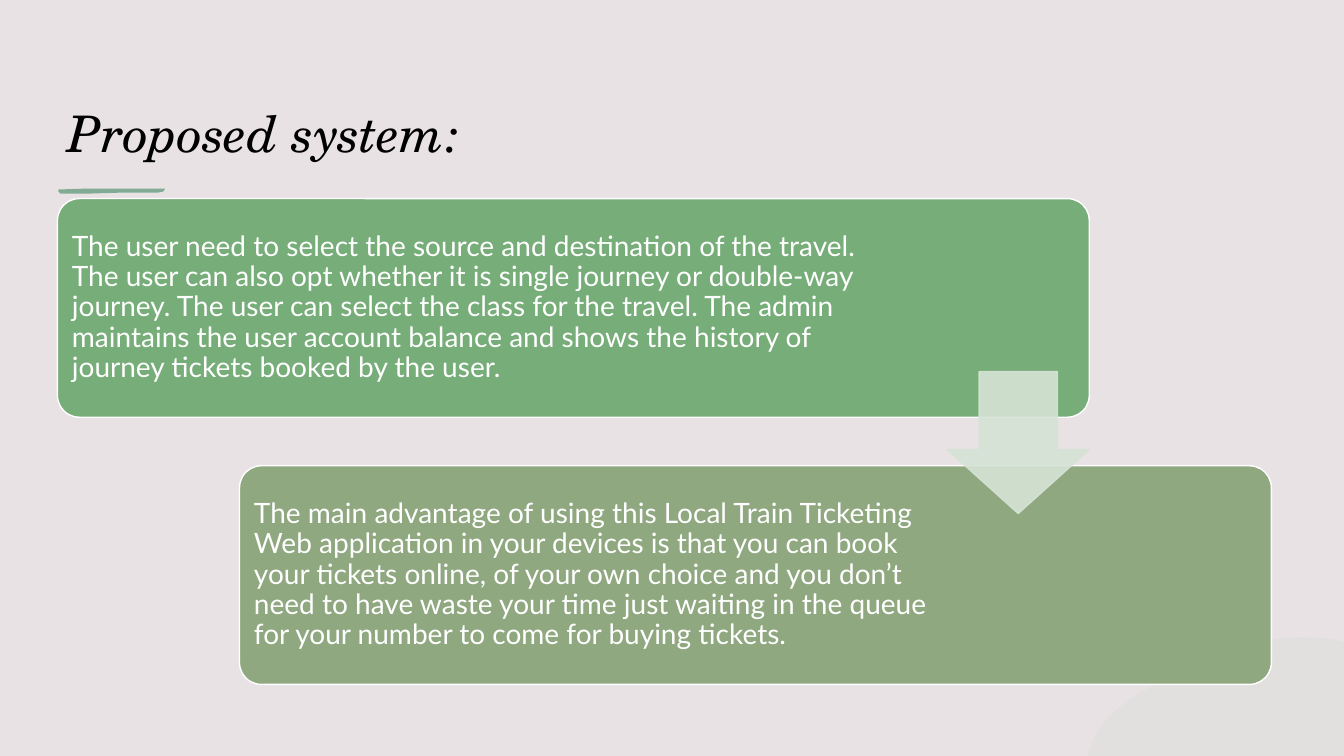
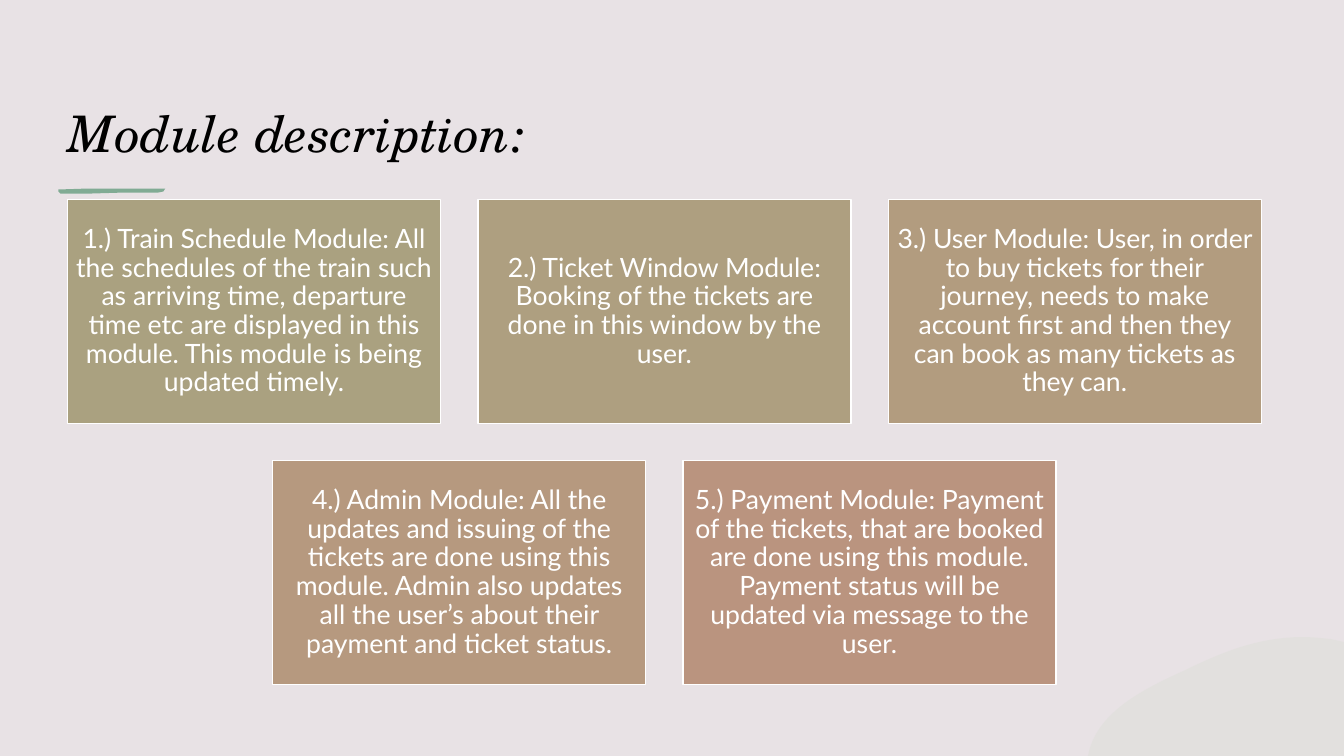
from dataclasses import dataclass

import pptx
import pptx.dml.color
import pptx.enum.shapes
import pptx.enum.text
import pptx.oxml
import pptx.oxml.ns
import pptx.util

Inches = pptx.util.Inches
Pt = pptx.util.Pt
SHAPE = pptx.enum.shapes.MSO_SHAPE
ALIGN = pptx.enum.text.PP_ALIGN
ANCHOR = pptx.enum.text.MSO_ANCHOR


@dataclass(frozen=True)
class Theme:
    background: str = "E8E2E5"
    title: str = "000000"
    accent: str = "81AB94"
    hill: str = "D2DCCC"
    hill_opacity: int = 25
    card_text: str = "FFFFFF"
    card_line: str = "FFFFFF"
    step_fills: tuple = ("76AD78", "8FA880")
    arrow: str = "D6E3D6"
    arrow_opacity: int = 90
    module_fills: tuple = ("AAA180", "AE9F80", "B29C7F", "B6997F", "BA947F")
    title_font: str = "TeX Gyre Schola"
    body_font: str = "Lato"
    title_size: int = 36
    step_size: int = 20
    module_size: int = 19
    inset: float = 0.08


THEME = Theme()

STEPS = (
    "The user need to select the source and destination of the travel. "
    "The user can also opt whether it is single journey or double-way journey. "
    "The user can select the class for the travel. The admin maintains the user "
    "account balance and shows the history of journey tickets booked by the user.",
    "The main advantage of using this Local Train Ticketing Web application in "
    "your devices is that you can book your tickets online, of your own choice "
    "and you don’t need to have waste your time just waiting in the queue for "
    "your number to come for buying tickets.",
)
MODULES = (
    "1.) Train Schedule Module: All the schedules of the train such as arriving "
    "time, departure time etc are displayed in this module. This module is being "
    "updated timely.",
    "2.) Ticket Window Module: Booking of the tickets are done in this window by "
    "the user.",
    "3.) User Module: User, in order to buy tickets for their journey, needs to "
    "make account first and then they can book as many tickets as they can.",
    "4.) Admin Module: All the updates and issuing of the tickets are done using "
    "this module. Admin also updates all the user’s about their payment and "
    "ticket status.",
    "5.) Payment Module: Payment of the tickets, that are booked are done using "
    "this module. Payment status will be updated via message to the user.",
)

UNDERLINE = ((0, 0.01), (0.3, 0), (0.75, 0), (1.06, 0), (1.04, 0.03), (0.99, 0.04),
             (0.66, 0.04), (0.32, 0.05), (0.02, 0.05), (0, 0.03))
HILL_START = (0, 1.18)
HILL_CURVES = (
    ((0.08, 0.75), (0.54, 0.52), (0.96, 0.33)),
    ((1.31, 0.16), (1.68, 0), (2.13, 0)),
    ((2.22, 0), (2.32, 0.01), (2.41, 0.02)),
)
HILL_END = ((2.54, 0.05), (2.54, 1.18))


def rgb(colour):
    return pptx.dml.color.RGBColor.from_string(colour)


def paint(shape, fill, line=None, opacity=100):
    shape.shadow.inherit = False
    shape.fill.solid()
    shape.fill.fore_color.rgb = rgb(fill)
    if line:
        shape.line.color.rgb = rgb(line)
        shape.line.width = Pt(1)
    else:
        shape.line.fill.background()
    if opacity < 100:
        for colour in shape._element.spPr.iter(pptx.oxml.ns.qn("a:srgbClr")):
            alpha = pptx.oxml.parse_xml(
                f'<a:alpha {pptx.oxml.ns.nsdecls("a")} val="{opacity * 1000}"/>')
            colour.append(alpha)


def add_run(paragraph, text, font, size, colour, italic=False):
    run = paragraph.add_run()
    run.text = text
    run.font.name = font
    run.font.size = Pt(size)
    run.font.color.rgb = rgb(colour)
    run.font.italic = italic


def add_outline(slide, left, top, points, fill, opacity=100):
    """Draw a closed outline whose points are inches from left, top."""
    placed = [(Inches(left + x), Inches(top + y)) for x, y in points]
    builder = slide.shapes.build_freeform(*placed[0])
    builder.add_line_segments(placed[1:], close=True)
    paint(builder.convert_to_shape(), fill, opacity=opacity)


def sample_curves(start, curves, steps=16):
    """Turn a chain of cubic Bezier curves into points."""
    points = [start]
    for curve in curves:
        controls = (points[-1], *curve)
        for step in range(1, steps + 1):
            t = step / steps
            weights = ((1 - t) ** 3, 3 * t * (1 - t) ** 2, 3 * t * t * (1 - t), t ** 3)
            points.append(tuple(sum(w * c[axis] for w, c in zip(weights, controls))
                                for axis in (0, 1)))
    return points


def add_titled_slide(deck, title):
    """Add a slide with the shared title, underline and corner hill."""
    slide = deck.slides.add_slide(deck.slide_layouts[5])
    heading = slide.shapes.title
    heading.left, heading.top = Inches(0.57), Inches(0.76)
    heading.width, heading.height = Inches(11.02), Inches(0.9)
    frame = heading.text_frame
    frame.auto_size = pptx.enum.text.MSO_AUTO_SIZE.NONE
    frame.vertical_anchor = ANCHOR.BOTTOM
    frame.paragraphs[0].alignment = ALIGN.LEFT
    add_run(frame.paragraphs[0], title, THEME.title_font, THEME.title_size,
            THEME.title, italic=True)
    add_outline(slide, 0.58, 1.87, UNDERLINE, THEME.accent)
    hill = [*sample_curves(HILL_START, HILL_CURVES), *HILL_END]
    add_outline(slide, 10.79, 6.32, hill, THEME.hill, THEME.hill_opacity)
    return slide


def add_card(slide, preset, box, text, fill, size, alignment, right_inset=THEME.inset):
    card = slide.shapes.add_shape(preset, *map(Inches, box))
    paint(card, fill, THEME.card_line)
    frame = card.text_frame
    frame.word_wrap = True
    frame.vertical_anchor = ANCHOR.MIDDLE
    frame.margin_left = frame.margin_top = frame.margin_bottom = Inches(THEME.inset)
    frame.margin_right = Inches(right_inset)
    paragraph = frame.paragraphs[0]
    paragraph.alignment = alignment
    paragraph.line_spacing = 0.9
    add_run(paragraph, text, THEME.body_font, size, THEME.card_text)
    return card


def add_staircase(slide, left, top, width, height):
    """Place two stepped cards and the arrow leading from one to the next."""
    card_width, card_height = width * 0.85, height * 0.45
    offsets = ((0, 0), (width - card_width, height - card_height))
    right_insets = (2.19, 3.3)
    for text, fill, (dx, dy), right_inset in zip(
            STEPS, THEME.step_fills, offsets, right_insets):
        card = add_card(slide, SHAPE.ROUNDED_RECTANGLE,
                        (left + dx, top + dy, card_width, card_height),
                        text, fill, THEME.step_size, ALIGN.LEFT, right_inset)
        card.adjustments[0] = 0.1
    side = card_height * 0.65
    arrow = slide.shapes.add_shape(
        SHAPE.DOWN_ARROW, Inches(left + card_width - side),
        Inches(top + (height - side) / 2 + 0.01), Inches(side), Inches(side))
    arrow.adjustments[0], arrow.adjustments[1] = 0.55, 0.45
    paint(arrow, THEME.arrow, THEME.arrow, THEME.arrow_opacity)


def add_module_grid(slide, left, top, width, height, columns=3, gap=0.37):
    """Place the modules in rows, each row centred in the box."""
    rows = -(-len(MODULES) // columns)
    card_width = (width - gap * (columns - 1)) / columns
    card_height = (height - gap * (rows - 1)) / rows
    for index, (text, fill) in enumerate(zip(MODULES, THEME.module_fills)):
        row, column = divmod(index, columns)
        in_row = min(columns, len(MODULES) - row * columns)
        indent = (columns - in_row) * (card_width + gap) / 2
        box = (left + indent + column * (card_width + gap),
               top + row * (card_height + gap), card_width, card_height)
        add_card(slide, SHAPE.RECTANGLE, box, text, fill, THEME.module_size,
                 ALIGN.CENTER)


def main():
    deck = pptx.Presentation()
    deck.slide_width, deck.slide_height = Inches(13.33), Inches(7.5)
    background = deck.slide_master.background.fill
    background.solid()
    background.fore_color.rgb = rgb(THEME.background)
    add_staircase(add_titled_slide(deck, "Proposed system:"), 0.57, 1.97, 12.04, 4.82)
    add_module_grid(add_titled_slide(deck, "Module description:"),
                    0.67, 1.98, 11.84, 4.81)
    deck.save("out.pptx")


if __name__ == "__main__":
    main()
